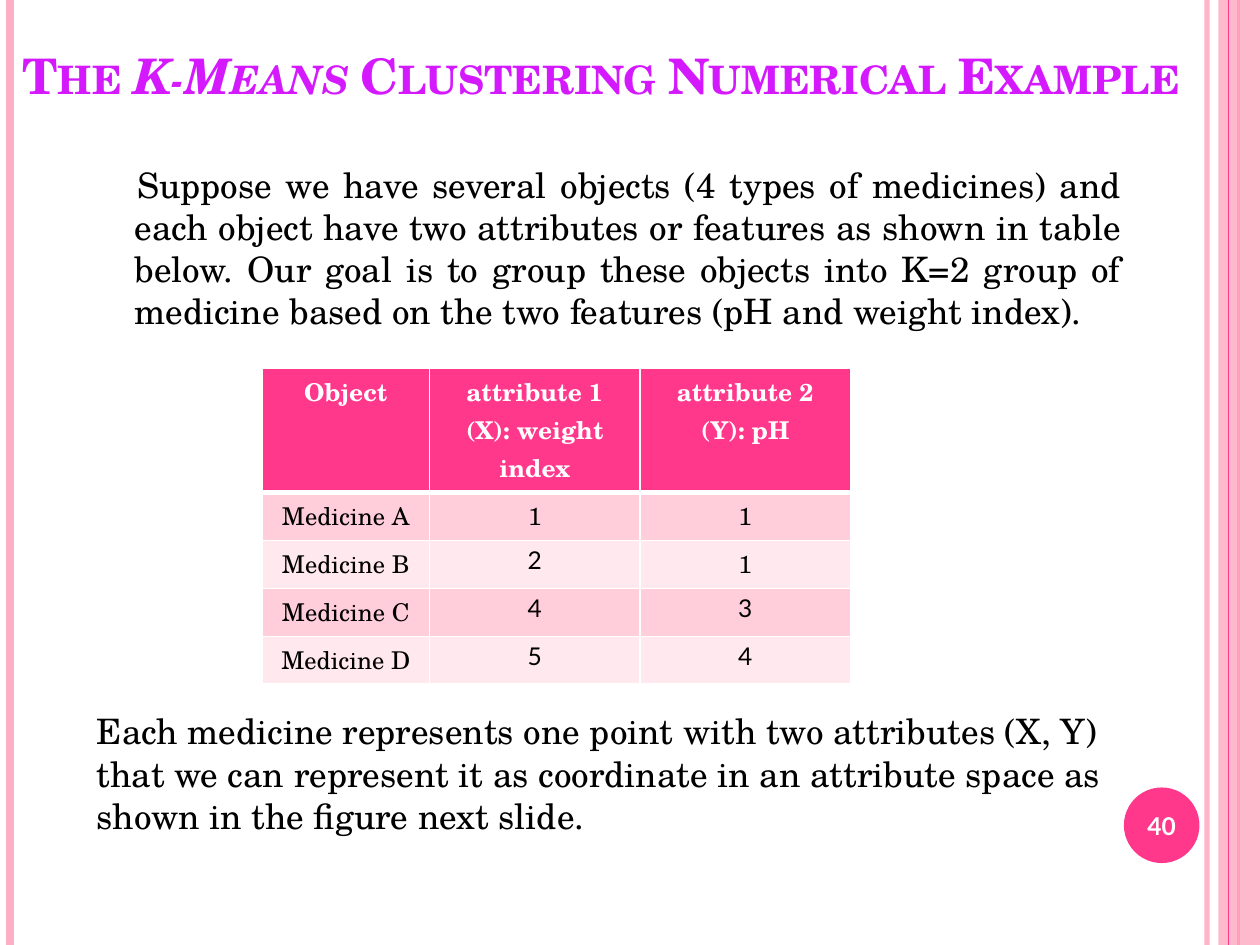
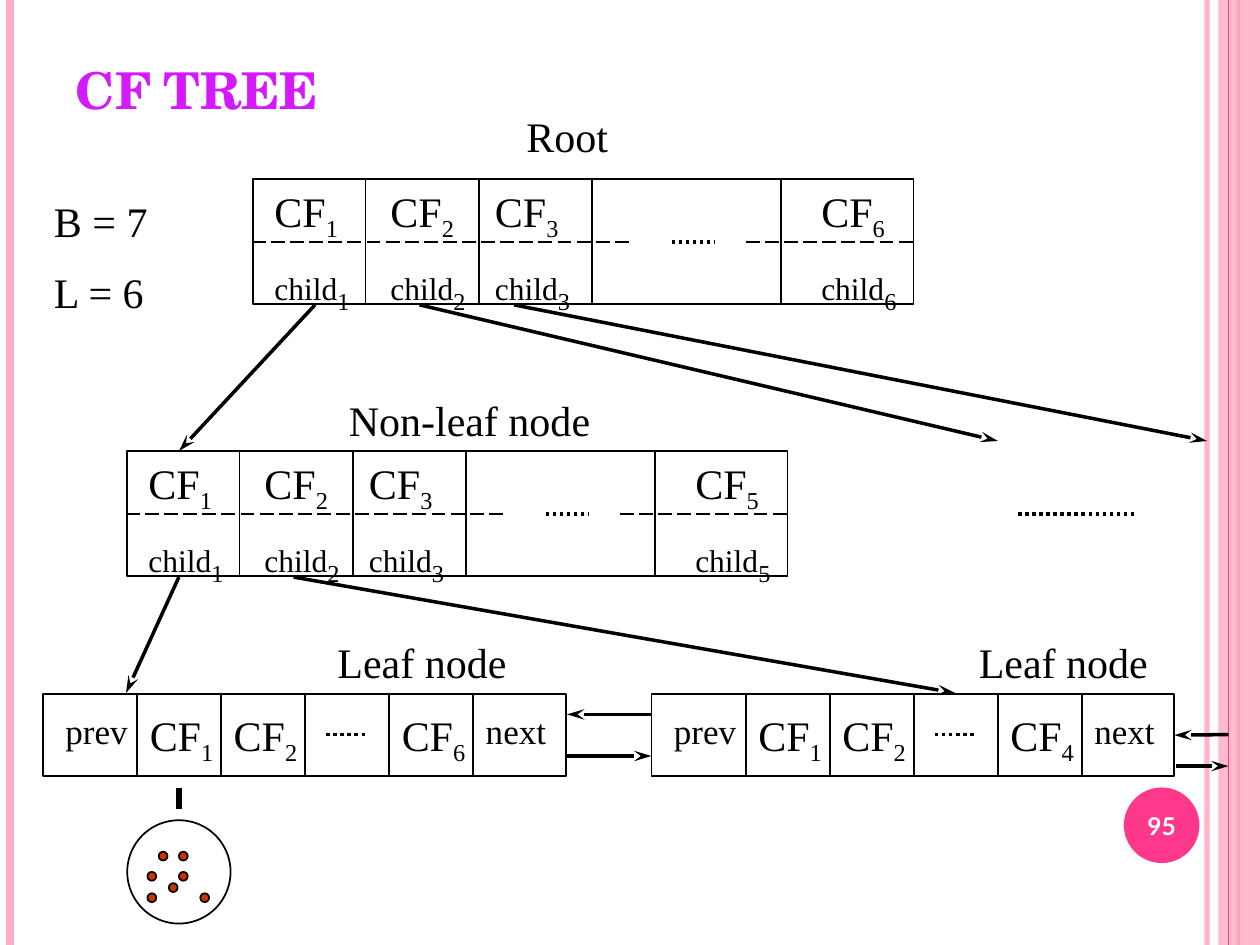
import dataclasses
import lxml.etree
import pptx
import pptx.dml.color
import pptx.enum.dml
import pptx.enum.shapes
import pptx.enum.text
import pptx.oxml.ns
import pptx.util

Inches = pptx.util.Inches
Pt = pptx.util.Pt
RGB = pptx.dml.color.RGBColor.from_string
qn = pptx.oxml.ns.qn
SHAPE = pptx.enum.shapes.MSO_SHAPE
ALIGN = pptx.enum.text.PP_ALIGN
ANCHOR = pptx.enum.text.MSO_ANCHOR
DASH = pptx.enum.dml.MSO_LINE


@dataclasses.dataclass(frozen=True)
class Theme:
    accent: str = "FF388C"
    band: str = "FFAFC5"
    title: str = "D519FF"
    ink: str = "000000"
    paper: str = "FFFFFF"
    row_odd: str = "FFCEDA"
    row_even: str = "FFE8EE"
    point: str = "CC3300"
    serif: str = "TeX Gyre Schola"
    sans: str = "Lato"
    diagram: str = "Times New Roman"
    body_size: int = 20
    small_size: int = 14
    entry_size: int = 24
    child_size: int = 18
    link_size: int = 20


theme = Theme()


def write(frame, *runs, size, font=theme.serif, color=theme.ink, bold=False,
          align=ALIGN.LEFT, anchor=ANCHOR.TOP, small_caps=False, space_before=0):
    frame.word_wrap = True
    frame.vertical_anchor = anchor
    paragraph = frame.add_paragraph() if frame.text else frame.paragraphs[0]
    paragraph.alignment = align
    paragraph.space_before = Pt(space_before)
    for item in runs:
        text, extra = (item, {}) if isinstance(item, str) else item
        run = paragraph.add_run()
        run.text = text
        run.font.name = font
        run.font.size = Pt(extra.get("size", size))
        run.font.bold = bold
        run.font.italic = extra.get("italic", False)
        run.font.color.rgb = RGB(color)
        properties = run.font._element
        if small_caps:
            properties.set("cap", "small")
        if "baseline" in extra:
            properties.set("baseline", str(extra["baseline"] * 1000))
    return paragraph


def draw_line(slide, x1, y1, x2, y2, width=1, color=theme.ink, dash=None, arrow=False):
    line = slide.shapes.add_connector(
        pptx.enum.shapes.MSO_CONNECTOR.STRAIGHT,
        Inches(x1), Inches(y1), Inches(x2), Inches(y2))
    line.line.width = Pt(width)
    line.line.color.rgb = RGB(color)
    if dash:
        line.line.dash_style = dash
    properties = line._element.spPr
    if arrow:
        lxml.etree.SubElement(properties.find(qn("a:ln")), qn("a:tailEnd"),
                              type="stealth", w="med", len="lg")
    lxml.etree.SubElement(properties, qn("a:effectLst"))
    return line


deck = pptx.Presentation()
deck.slide_width = Inches(10)
deck.slide_height = Inches(7.5)

headings = [
    ("40", (0.08, 0.33, 9.67, 0.55), 28,
     ["The ", ("K-Means", {"italic": True}), " Clustering Numerical Example"]),
    ("95", (0.5, 0.58, 2.48, 0.42), 29, ["CF TREE"]),
]
for number, place, size, heading in headings:
    slide = deck.slides.add_slide(deck.slide_layouts[5])
    title = slide.shapes.title
    title.left, title.top, title.width, title.height = map(Inches, place)
    title.text_frame.auto_size = pptx.enum.text.MSO_AUTO_SIZE.NONE
    write(title.text_frame, *heading, size=size, color=theme.title, bold=True,
          anchor=ANCHOR.BOTTOM, small_caps=True)

    pale_stripe = draw_line(slide, 9.58, 0, 9.58, 7.5, 3, theme.band)
    draw_line(slide, 0.08, 0, 0.08, 7.5, 4.5, theme.band)
    draw_line(slide, 9.83, 0, 9.83, 7.5, 1.5, theme.accent)
    side_band = slide.shapes.add_shape(
        SHAPE.RECTANGLE, Inches(9.67), 0, Inches(0.33), Inches(7.5))
    draw_line(slide, 9.75, 0, 9.75, 7.5, 0.75, theme.accent)
    badge = slide.shapes.add_shape(
        SHAPE.OVAL, Inches(8.92), Inches(6.25), Inches(0.6), Inches(0.6))
    for part, color in ((side_band, theme.band), (badge, theme.accent)):
        part.shadow.inherit = False
        part.fill.solid()
        part.fill.fore_color.rgb = RGB(color)
        part.line.fill.background()
    for part, opacity in ((pale_stripe, 93), (side_band, 87)):
        tint = part._element.spPr.find(".//" + qn("a:srgbClr"))
        lxml.etree.SubElement(tint, qn("a:alpha"), val=str(opacity * 1000))
    badge.text_frame.margin_left = badge.text_frame.margin_right = 0
    write(badge.text_frame, number, size=theme.small_size, font=theme.sans,
          color=theme.paper, bold=True, align=ALIGN.CENTER, anchor=ANCHOR.MIDDLE)

example, tree = deck.slides

problem = example.shapes.add_textbox(Inches(0.67), Inches(1.25), Inches(8.33), Inches(2.08))
paragraph = write(
    problem.text_frame,
    "Suppose we have several objects (4 types of medicines) and each object have two "
    "attributes or features as shown in table below. Our goal is to group these objects "
    "into K=2 group of medicine based on the two features (pH and weight index).",
    size=theme.body_size, align=ALIGN.JUSTIFY)
indent = paragraph._p.get_or_add_pPr()
indent.set("marL", str(Inches(0.3)))
indent.set("indent", str(Inches(0.02)))

medicines = [
    ("Object", "attribute 1 (X): weight index", "attribute 2 (Y): pH"),
    ("Medicine A", "1", "1"),
    ("Medicine B", "2", "1"),
    ("Medicine C", "4", "3"),
    ("Medicine D", "5", "4"),
]
sans_cells = {(2, 1), (3, 1), (3, 2), (4, 1), (4, 2)}
table = example.shapes.add_table(
    5, 3, Inches(2.08), Inches(2.92), Inches(4.67), Inches(2.5)).table
table.horz_banding = False
for column, width in zip(table.columns, (1.33, 1.67, 1.67)):
    column.width = Inches(width)
for r, values in enumerate(medicines):
    header = r == 0
    table.rows[r].height = Inches(0.99 if header else 0.38)
    for c, value in enumerate(values):
        cell = table.cell(r, c)
        cell.margin_top = cell.margin_bottom = Inches(0.04)
        borders = cell._tc.get_or_add_tcPr()
        for side in ("L", "R", "T", "B"):
            thick = (header and side == "B") or (r == 1 and side == "T")
            edge = lxml.etree.SubElement(borders, qn("a:ln" + side), w=str(Pt(3 if thick else 1)))
            paint = lxml.etree.SubElement(edge, qn("a:solidFill"))
            lxml.etree.SubElement(paint, qn("a:srgbClr"), val=theme.paper)
        cell.fill.solid()
        cell.fill.fore_color.rgb = RGB(
            theme.accent if header else theme.row_odd if r % 2 else theme.row_even)
        write(cell.text_frame, value, size=theme.small_size, bold=header,
              font=theme.sans if (r, c) in sans_cells else theme.serif,
              color=theme.paper if header else theme.ink, align=ALIGN.CENTER)

remark = example.shapes.add_textbox(Inches(0.67), Inches(5.58), Inches(8.5), Inches(1.11))
write(remark.text_frame,
      "Each medicine represents one point with two attributes (X, Y) that we can represent "
      "it as coordinate in an attribute space as shown in the figure next slide.",
      size=theme.body_size, anchor=ANCHOR.MIDDLE)

nodes = [(2, 1.42, "6"), (1, 3.58, "5")]
leaves = [(0.34, "6"), (5.17, "4")]
leaf_top = 5.5

outlines = [(SHAPE.RECTANGLE, x + 0.01, y, 5.24, 0.99, None) for x, y, _ in nodes]
outlines += [(SHAPE.OVAL, 1.01, 6.51, 0.82, 0.82, None)]
outlines += [(SHAPE.OVAL, x, y, 0.07, 0.07, theme.point) for x, y in (
    (1.26, 6.76), (1.42, 6.92), (1.42, 6.76), (1.17, 7.09),
    (1.17, 6.92), (1.34, 7.01), (1.59, 7.09))]
outlines += [(SHAPE.RECTANGLE, x, leaf_top + 0.01, 4.15, 0.65, None) for x, _ in leaves]
for kind, x, y, width, height, color in outlines:
    outline = tree.shapes.add_shape(kind, Inches(x), Inches(y), Inches(width), Inches(height))
    outline.shadow.inherit = False
    outline.line.color.rgb = RGB(theme.ink)
    outline.line.width = Pt(1)
    if color:
        outline.fill.solid()
        outline.fill.fore_color.rgb = RGB(color)
    else:
        outline.fill.background()
last_leaf = outline

labels = [
    (4.08, 0.83, 1.08, 0.5, theme.entry_size, ["Root"]),
    (2.67, 3.08, 2.17, 0.5, theme.entry_size, ["Non-leaf node"]),
    (2.58, 5, 1.58, 0.5, theme.entry_size, ["Leaf node"]),
    (7.67, 5, 1.58, 0.5, theme.entry_size, ["Leaf node"]),
]
subscript = {"size": theme.entry_size, "baseline": -25}

for x, y, last in nodes:
    for divider in (0.9, 1.8, 2.7, 4.2):
        draw_line(tree, x + divider, y, x + divider, y + 1)
    middle = y + 0.5
    draw_line(tree, x, middle, x + 3, middle, dash=DASH.LONG_DASH)
    draw_line(tree, x + 3.92, middle, x + 5.25, middle, dash=DASH.LONG_DASH)
    draw_line(tree, x + 3.33, middle, x + 3.67, middle, 2, dash=DASH.ROUND_DOT)
    for offset, index in zip((0.08, 1, 1.83, 4.42), ("1", "2", "3", last)):
        labels += [
            (x + offset, y, 0.75, 0.5, theme.entry_size, ["CF", (index, subscript)]),
            (x + offset, y + 0.58, 1, 0.4, theme.child_size, ["child", (index, subscript)]),
        ]

for x, last in leaves:
    dividers = [x + 0.75 + i * 2 / 3 for i in range(5)]
    for divider in dividers:
        draw_line(tree, divider, leaf_top, divider, leaf_top + 0.67)
    draw_line(tree, x + 2.25, 5.83, x + 2.58, 5.83, 2, dash=DASH.ROUND_DOT)
    for slot, index in ((0, "1"), (1, "2"), (3, last)):
        labels.append((dividers[slot], 5.58, 0.75, 0.5, theme.entry_size,
                       ["CF", (index, subscript)]))
    labels += [
        (x + 0.08, 5.58, 0.75, 0.43, theme.link_size, ["prev"]),
        (dividers[4], 5.58, 0.75, 0.43, theme.link_size, ["next"]),
    ]

for x, y, width, height, size, runs in labels:
    label = tree.shapes.add_textbox(Inches(x), Inches(y), Inches(width), Inches(height))
    write(label.text_frame, *runs, size=size, font=theme.diagram)

limits = tree.shapes.add_textbox(Inches(0.33), Inches(1.5), Inches(1.17), Inches(1.1))
for limit, gap in (("B = 7", 0), ("L = 6", 12)):
    write(limits.text_frame, limit, size=theme.entry_size, font=theme.diagram, space_before=gap)

for ends in (
    (2.5, 2.42, 1.42, 3.58), (3.33, 2.42, 7.92, 3.5), (4.08, 2.42, 9.58, 3.5),
    (1.42, 4.58, 1, 5.5), (2.33, 4.58, 7.58, 5.5),
    (5.17, 5.67, 4.5, 5.67), (4.5, 6, 5.17, 6), (9.33, 6.08, 9.75, 6.08),
):
    draw_line(tree, *ends, width=2, arrow=True)
incoming = draw_line(tree, 9.75, 5.83, 9.33, 5.83, 2, arrow=True)
incoming.end_connect(last_leaf, 3)
draw_line(tree, 8.08, 4.08, 9, 4.08, 2, dash=DASH.ROUND_DOT)
draw_line(tree, 1.42, 6.25, 1.42, 6.42, 3)

deck.save("out.pptx")
